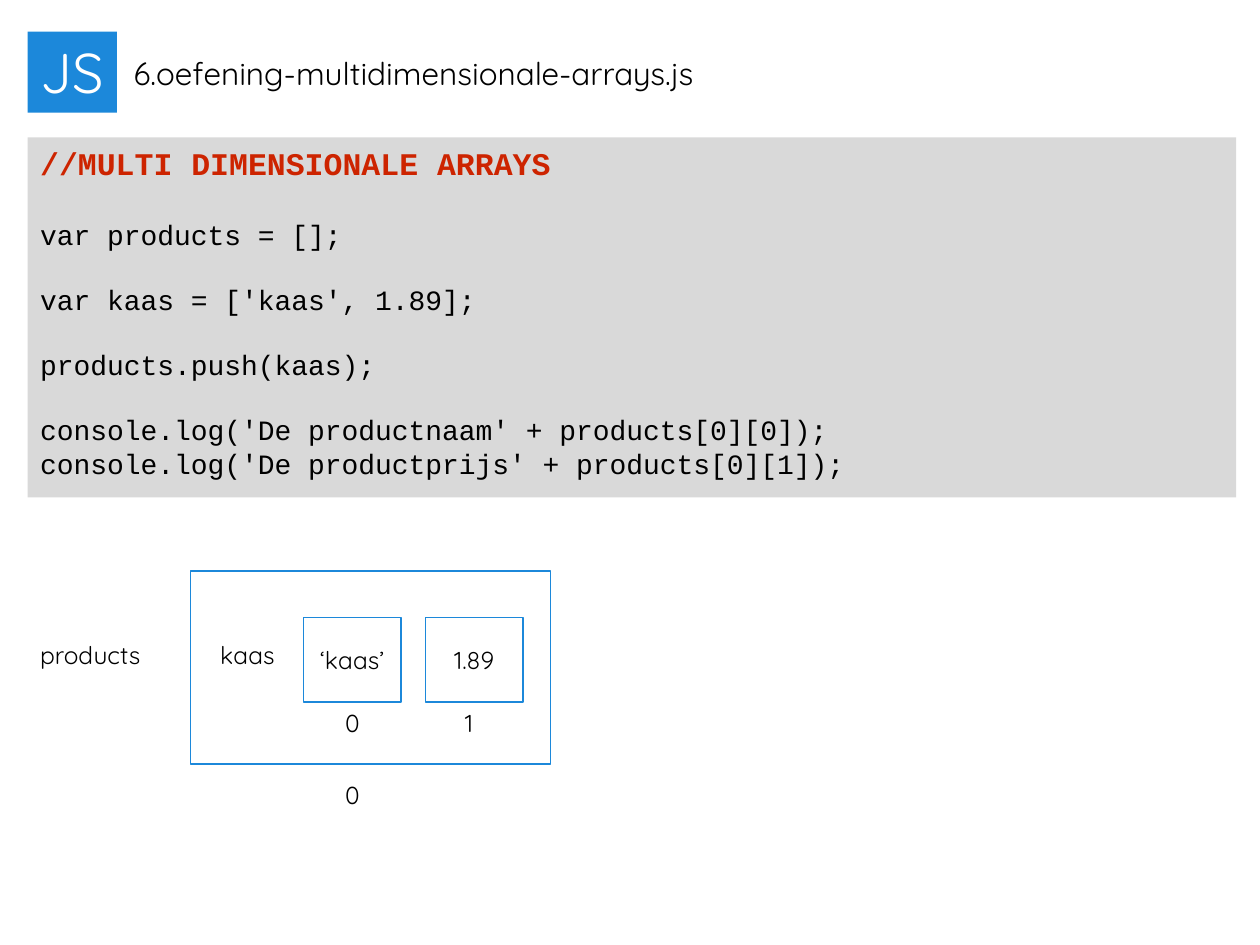
from pptx import Presentation
from pptx import util as u
from pptx.dml.color import RGBColor
from pptx.enum import shapes, text

COLORS = {"blue": "1C88DA", "grey": "D9D9D9", "red": "CD2400",
          "black": "000000", "white": "FFFFFF"}
CODE_FONT, LABEL_FONT = "Courier New", "Quicksand"

# Each code line with the space above it in points
CODE = [
    ("var products = [];", 20.4),
    ("var kaas = ['kaas', 1.89];", 18.1),
    ("products.push(kaas);", 18.1),
    ("console.log('De productnaam' + products[0][0]);", 18.1),
    ("console.log('De productprijs' + products[0][1]);", 0),
]


def color(name):
    return RGBColor.from_string(COLORS[name])


def write(paragraph, content, size=14, font=LABEL_FONT, ink="black",
          bold=False, align=text.PP_ALIGN.LEFT, before=0):
    paragraph.alignment = align
    paragraph.space_before = u.Pt(before)
    paragraph.line_spacing = 1.0
    run = paragraph.add_run()
    run.text = content
    run.font.size = u.Pt(size)
    run.font.name = font
    run.font.bold = bold
    run.font.color.rgb = color(ink)


def add_box(slide, left, top, width, height, fill=None, line=None,
            anchor=text.MSO_ANCHOR.TOP):
    box = slide.shapes.add_shape(shapes.MSO_SHAPE.RECTANGLE, u.Cm(left),
                                 u.Cm(top), u.Cm(width), u.Cm(height))
    box.shadow.inherit = False
    if fill:
        box.fill.solid()
        box.fill.fore_color.rgb = color(fill)
    else:
        box.fill.background()
    if line:
        box.line.color.rgb = color(line)
        box.line.width = u.Pt(1)
    else:
        box.line.fill.background()
    box.text_frame.word_wrap = True
    box.text_frame.vertical_anchor = anchor
    return box


def add_label(slide, content, left, top, width=0.79, height=0.86):
    label = slide.shapes.add_textbox(u.Cm(left), u.Cm(top),
                                     u.Cm(width), u.Cm(height))
    label.text_frame.word_wrap = False
    label.text_frame.auto_size = text.MSO_AUTO_SIZE.SHAPE_TO_FIT_TEXT
    write(label.text_frame.paragraphs[0], content)


def add_title(slide, content):
    title = slide.shapes.title
    title.left, title.top = u.Cm(2.44), u.Cm(0.97)
    title.width, title.height = u.Cm(12.29), u.Cm(1.02)
    frame = title.text_frame
    frame.word_wrap = False
    frame.auto_size = text.MSO_AUTO_SIZE.SHAPE_TO_FIT_TEXT
    frame.vertical_anchor = text.MSO_ANCHOR.TOP
    write(frame.paragraphs[0], content, size=18)


def add_code(slide):
    frame = add_box(slide, 0.56, 2.77, 24.36, 7.26, fill="grey").text_frame
    write(frame.paragraphs[0], "//MULTI DIMENSIONALE ARRAYS", size=18,
          font=CODE_FONT, ink="red", bold=True)
    for line, before in CODE:
        write(frame.add_paragraph(), line, size=16, font=CODE_FONT,
              before=before)


def add_array_diagram(slide):
    # Outer array with its name and index
    add_box(slide, 3.84, 11.51, 7.26, 3.89, line="blue")
    add_label(slide, "products", 0.56, 12.78, width=2.67)
    add_label(slide, "0", 6.71, 15.6)

    # Inner array: one cell and one index per value
    add_label(slide, "kaas", 4.19, 12.78, width=1.63)
    for index, value in enumerate(["‘kaas’", "1.89"]):
        cell = add_box(slide, 6.12 + index * 2.46, 12.45, 1.96, 1.7,
                       line="blue", anchor=text.MSO_ANCHOR.MIDDLE)
        write(cell.text_frame.paragraphs[0], value,
              align=text.PP_ALIGN.CENTER)
        add_label(slide, str(index), 6.71 + index * 2.41, 14.15)


def main():
    presentation = Presentation()
    presentation.slide_width = u.Cm(25.4)
    presentation.slide_height = u.Cm(19.05)
    slide = presentation.slides.add_slide(presentation.slide_layouts[5])

    # Header
    add_title(slide, "6.oefening-multidimensionale-arrays.js")
    badge = add_box(slide, 0.56, 0.64, 1.8, 1.63, fill="blue")
    write(badge.text_frame.paragraphs[0], "JS", size=32, ink="white")

    # Content
    add_code(slide)
    add_array_diagram(slide)
    presentation.save("out.pptx")


main()
